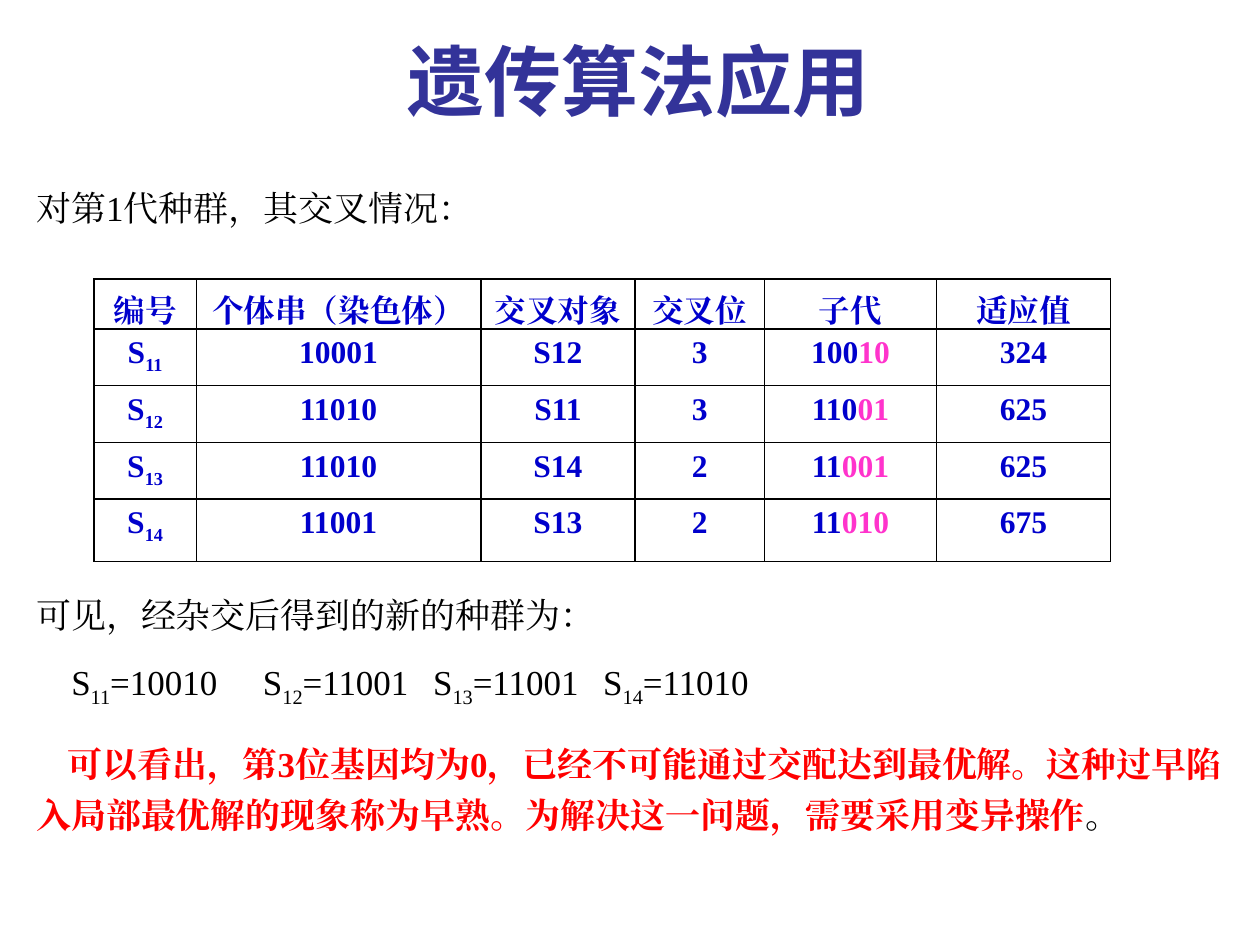
from dataclasses import dataclass

from pptx import Presentation
from pptx.dml.color import RGBColor
from pptx.enum.text import PP_ALIGN
from pptx.oxml.ns import qn
from pptx.util import Inches, Pt
from lxml import etree

CENTER, LEFT = PP_ALIGN.CENTER, PP_ALIGN.LEFT


@dataclass(frozen=True)
class Theme:
    title_font: str = "Noto Sans CJK JP"
    body_font: str = "Times New Roman"
    title_size: float = 48.9
    body_size: float = 22.2
    table_size: float = 20
    title: str = "333399"
    body: str = "000000"
    table: str = "0000CC"
    crossed: str = "FF33CC"
    warning: str = "FF0000"
    border: str = "000000"


THEME = Theme()

HEADERS = ["编号", "个体串（染色体）", "交叉对象", "交叉位", "子代", "适应值"]
# number, chromosome, partner, crossover position, offspring, fitness
POPULATION = [
    ("11", "10001", "S12", 3, "10010", "324"),
    ("12", "11010", "S11", 3, "11001", "625"),
    ("13", "11010", "S14", 2, "11001", "625"),
    ("14", "11001", "S13", 2, "11010", "675"),
]
COLUMN_WIDTHS = [0.9, 2.51, 1.36, 1.14, 1.52, 1.53]
ROW_HEIGHTS = [0.44, 0.49, 0.49, 0.49, 0.55]


def add_run(paragraph, text, size, color, font=THEME.body_font, bold=False, subscript=False):
    run = paragraph.add_run()
    run.text = text
    run.font.size = Pt(size)
    run.font.bold = bold
    run.font.name = font
    run.font.color.rgb = RGBColor.from_string(color)
    properties = run.font._element
    east_asian = etree.Element(qn("a:ea"), typeface=font)
    properties.find(qn("a:latin")).addnext(east_asian)
    if subscript:
        properties.set("baseline", "-25000")


def add_frame(slide, box):
    frame = slide.shapes.add_textbox(*(Inches(length) for length in box)).text_frame
    frame.word_wrap = True
    return frame


def format_paragraph(paragraph, line_height, before=0, indent=0, align=LEFT):
    paragraph.alignment = align
    paragraph.line_spacing = Pt(line_height)
    paragraph.space_before = Pt(before)
    paragraph._p.get_or_add_pPr().set("indent", str(Inches(indent)))


def add_tab_stops(paragraph, stops):
    tabs = etree.SubElement(paragraph._p.get_or_add_pPr(), qn("a:tabLst"))
    for stop in stops:
        etree.SubElement(tabs, qn("a:tab"), pos=str(Inches(stop)), algn="l")


def add_title(slide, box):
    heading = add_frame(slide, box).paragraphs[0]
    format_paragraph(heading, 59, align=CENTER)
    add_run(heading, "遗传算法应用", THEME.title_size, THEME.title, THEME.title_font, bold=True)


def add_introduction(slide, box):
    sentence = add_frame(slide, box).paragraphs[0]
    format_paragraph(sentence, 27)
    add_run(sentence, "对第1代种群，其交叉情况：", THEME.body_size, THEME.body)


def add_borders(cell):
    properties = cell._tc.get_or_add_tcPr()
    for position, side in enumerate(("lnL", "lnR", "lnT", "lnB")):
        line = etree.Element(qn(f"a:{side}"), w=str(Pt(1)))
        fill = etree.SubElement(line, qn("a:solidFill"))
        etree.SubElement(fill, qn("a:srgbClr"), val=THEME.border)
        properties.insert(position, line)


def fill_cell(cell, *runs):
    """Each run is (text, color, subscript)."""
    cell.fill.background()
    add_borders(cell)
    cell.margin_left = cell.margin_right = Inches(0.11)
    cell.margin_top = cell.margin_bottom = Inches(0.06)
    paragraph = cell.text_frame.paragraphs[0]
    paragraph.alignment = CENTER
    for text, color, subscript in runs:
        add_run(paragraph, text, THEME.table_size, color, bold=True, subscript=subscript)


def add_crossover_table(slide, box):
    grid = slide.shapes.add_table(
        len(ROW_HEIGHTS), len(COLUMN_WIDTHS), *(Inches(length) for length in box)).table
    grid.first_row = grid.horz_banding = False
    for column, width in zip(grid.columns, COLUMN_WIDTHS):
        column.width = Inches(width)
    for row, height in zip(grid.rows, ROW_HEIGHTS):
        row.height = Inches(height)

    # Header row: the text sits low in its cells
    for column, header in enumerate(HEADERS):
        cell = grid.cell(0, column)
        fill_cell(cell, (header, THEME.table, False))
        cell.margin_top, cell.margin_bottom = Inches(0.12), 0
        cell.text_frame.paragraphs[0].line_spacing = Pt(23)

    # Individuals: the swapped tail of each offspring is highlighted
    for row, (number, chromosome, partner, cut, child, fitness) in enumerate(POPULATION, 1):
        contents = [
            [("S", THEME.table, False), (number, THEME.table, True)],
            [(chromosome, THEME.table, False)],
            [(partner, THEME.table, False)],
            [(str(cut), THEME.table, False)],
            [(child[:cut], THEME.table, False), (child[cut:], THEME.crossed, False)],
            [(fitness, THEME.table, False)],
        ]
        for column, runs in enumerate(contents):
            fill_cell(grid.cell(row, column), *runs)


def add_conclusion(slide, box):
    frame = add_frame(slide, box)
    size = THEME.body_size

    lead = frame.paragraphs[0]
    format_paragraph(lead, 32.4)
    add_run(lead, "可见，经杂交后得到的新的种群为：", size, THEME.body)

    # New population on tab stops
    generation = frame.add_paragraph()
    format_paragraph(generation, 32.4, before=14, indent=0.31)
    add_tab_stops(generation, [2.21, 4.19, 6.09])
    for position, (number, _, _, _, child, _) in enumerate(POPULATION):
        add_run(generation, "\tS" if position else "S", size, THEME.body)
        add_run(generation, number, size, THEME.body, subscript=True)
        add_run(generation, f"={child}", size, THEME.body)

    # Premature convergence
    finding = frame.add_paragraph()
    format_paragraph(finding, 32.4, before=16, indent=0.28)
    add_run(finding, "可以看出，第3位基因均为0，已经不可能通过交配达到最优解。"
            "这种过早陷入局部最优解的现象称为早熟。为解决这一问题，需要采用变异操作",
            size, THEME.warning, bold=True)
    add_run(finding, "。", size, THEME.body)


def main():
    deck = Presentation()
    deck.slide_width, deck.slide_height = Inches(11.11), Inches(8.33)
    slide = deck.slides.add_slide(deck.slide_layouts[6])
    add_introduction(slide, (0.22, 1.59, 10.68, 0.48))
    add_crossover_table(slide, (0.83, 2.46, sum(COLUMN_WIDTHS), sum(ROW_HEIGHTS)))
    add_conclusion(slide, (0.22, 5.1, 10.68, 2.3))
    add_title(slide, (2.24, 0.24, 6.78, 0.92))
    deck.save("out.pptx")


if __name__ == "__main__":
    main()
